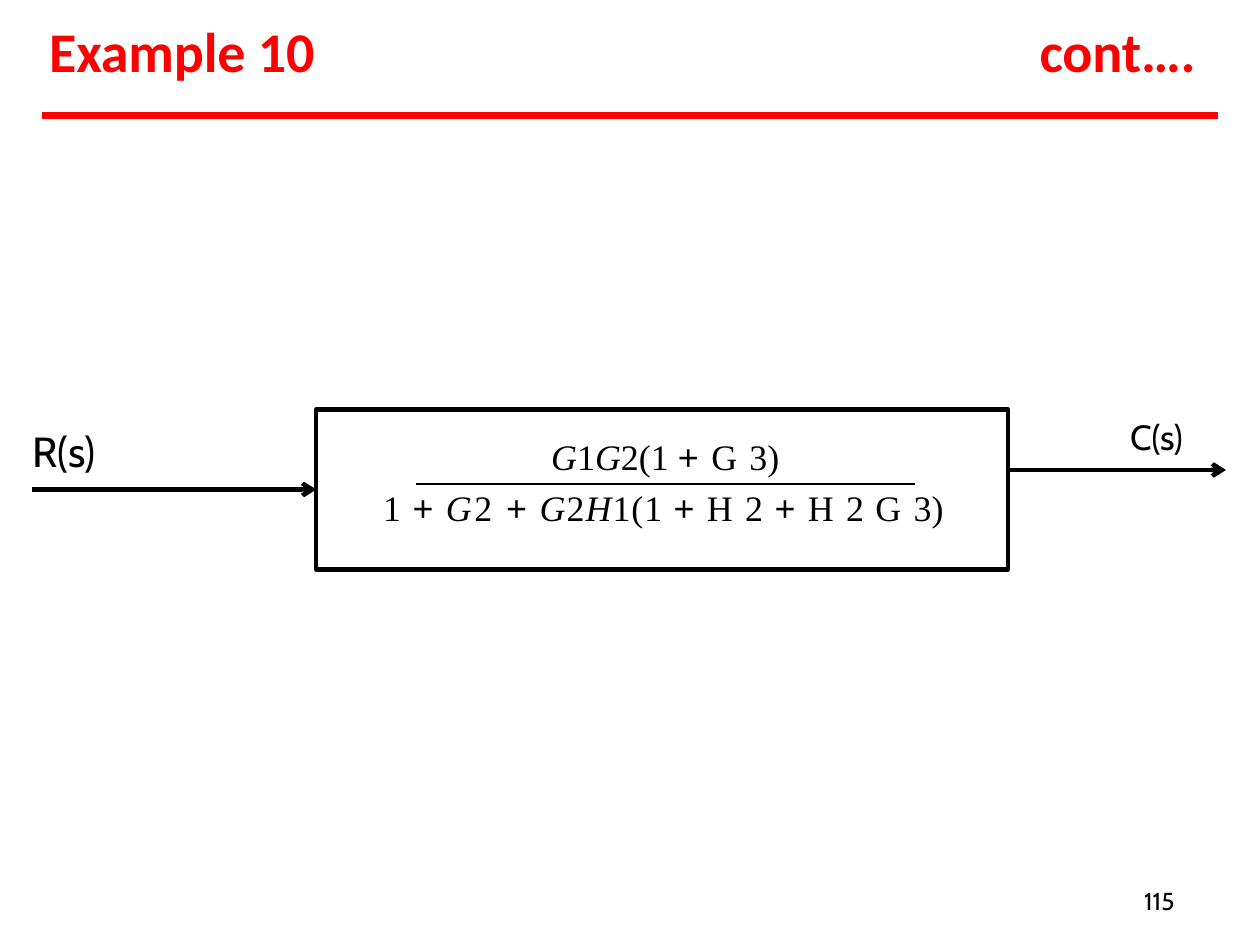
"""Build the slide showing the reduced block diagram of Example 10."""
import pptx
import pptx.dml.color
import pptx.enum.shapes
import pptx.enum.text
import pptx.oxml
import pptx.oxml.ns
import pptx.util

Inches = pptx.util.Inches
Pt = pptx.util.Pt
ALIGN = pptx.enum.text.PP_ALIGN

COLORS = {"accent": "FF0000", "ink": "000000"}
SLIDE_WIDTH, SLIDE_HEIGHT = 10, 7.5
HEADING_TOP, HEADING_HEIGHT = 0.12, 0.56
TITLE = ("Example 10", 0.38, 2.15)
CONTINUATION = ("cont….", 8.24, 1.28)
RULE_MARGIN, RULE_TOP = 0.33, 0.92

LABELS = [
    ("R(s)", (0.25, 3.37, 0.64, 0.43), 24, 0.01),
    ("C(s)", (8.96, 3.29, 0.53, 0.36), 20, 0.01),
    ("115", (9.05, 7.02, 0.38, 0.26), 14, 0.03),
]

BLOCK_LEFT, BLOCK_TOP, BLOCK_WIDTH, BLOCK_HEIGHT = 2.51, 3.25, 5.49, 1.27
INPUT_LEFT = 0.25
OUTPUT_RIGHT, OUTPUT_TOP = 9.73, 3.73
BAR_LEFT, BAR_RIGHT, BAR_TOP = 3.3, 7.26, 3.84

MATH_STYLES = {
    "variable": ("Times New Roman", True),
    "plain": ("Times New Roman", False),
    "operator": ("Arial", False),
}
NUMERATOR = [
    ("G", "variable", 0), ("1", "plain", 0), ("G", "variable", 0),
    ("2(1 ", "plain", 0), ("+ ", "operator", 0.7),
    ("G ", "plain", 0.9), ("3)", "plain", 0.1),
]
DENOMINATOR = [
    ("1 ", "plain", 0.7), ("+ ", "operator", 0.7), ("G", "variable", 1.4),
    ("2 ", "plain", 1.4), ("+ ", "operator", 0.7), ("G", "variable", 0.6),
    ("2", "plain", 0.6), ("H", "variable", 0.6), ("1(1 ", "plain", 0.6),
    ("+ ", "operator", 0.7), ("H ", "plain", 0.9), ("2 ", "plain", 0.7),
    ("+ ", "operator", 0.7), ("H ", "plain", 0.9), ("2 ", "plain", 0.7),
    ("G ", "plain", 0.9), ("3)", "plain", 0.1),
]
FRACTION = [(NUMERATOR, 0.05, 0), (DENOMINATOR, 0.02, 4.7)]


def rgb(name):
    return pptx.dml.color.RGBColor.from_string(COLORS[name])


def place(shape, left, top, width, height):
    shape.left, shape.top = Inches(left), Inches(top)
    shape.width, shape.height = Inches(width), Inches(height)


def format_run(run, font_name, size, color, spacing=0, bold=False, italic=False):
    font = run.font
    font.name, font.size = font_name, Pt(size)
    font.bold, font.italic = bold, italic
    font.color.rgb = rgb(color)
    run._r.get_or_add_rPr().set("spc", str(round(spacing * 100)))


def prepare_frame(shape, top_inset=0.01):
    frame = shape.text_frame
    frame.word_wrap = True
    frame.auto_size = pptx.enum.text.MSO_AUTO_SIZE.NONE
    frame.vertical_anchor = pptx.enum.text.MSO_ANCHOR.TOP
    frame.margin_left = frame.margin_right = frame.margin_bottom = 0
    frame.margin_top = Inches(top_inset)
    return frame


def indent(paragraph, distance):
    paragraph._p.get_or_add_pPr().set("marL", str(Inches(distance)))


def write_text(shape, text, font_name, size, color, left_indent=0.01, **style):
    frame = prepare_frame(shape)
    frame.text = text
    paragraph = frame.paragraphs[0]
    paragraph.alignment = ALIGN.LEFT
    indent(paragraph, left_indent)
    format_run(paragraph.runs[0], font_name, size, color, **style)


def add_line(slide, start, end, color, width, arrow=False):
    points = [Inches(value) for value in (*start, *end)]
    line = slide.shapes.add_connector(
        pptx.enum.shapes.MSO_CONNECTOR.STRAIGHT, *points)
    line.line.color.rgb = rgb(color)
    line.line.width = Pt(width)
    if arrow:
        head = pptx.oxml.parse_xml(
            f'<a:tailEnd {pptx.oxml.ns.nsdecls("a")} type="arrow"/>')
        line.line._get_or_add_ln().append(head)
    effects = pptx.oxml.parse_xml(f'<a:effectLst {pptx.oxml.ns.nsdecls("a")}/>')
    line._element.spPr.append(effects)
    return line


def add_heading(slide):
    text, left, width = TITLE
    heading = slide.shapes.title
    continuation = slide.shapes.add_textbox(0, 0, 0, 0)
    for shape, (text, left, width) in ((heading, TITLE), (continuation, CONTINUATION)):
        place(shape, left, HEADING_TOP, width, HEADING_HEIGHT)
        write_text(shape, text, "Calibri", 32, "accent", spacing=-0.1, bold=True)
    add_line(slide, (RULE_MARGIN, RULE_TOP),
             (SLIDE_WIDTH - RULE_MARGIN, RULE_TOP), "accent", 3.96)


def add_block(slide):
    block = slide.shapes.add_shape(pptx.enum.shapes.MSO_SHAPE.RECTANGLE, 0, 0, 0, 0)
    place(block, BLOCK_LEFT, BLOCK_TOP, BLOCK_WIDTH, BLOCK_HEIGHT)
    block.shadow.inherit = False
    block.fill.background()
    block.line.color.rgb = rgb("ink")
    block.line.width = Pt(2.52)
    frame = prepare_frame(block, 0.2)
    frame.add_paragraph()
    for paragraph, (tokens, left_indent, space) in zip(frame.paragraphs, FRACTION):
        paragraph.alignment = ALIGN.CENTER
        paragraph.space_before = Pt(space)
        indent(paragraph, left_indent)
        for text, style, spacing in tokens:
            font_name, italic = MATH_STYLES[style]
            run = paragraph.add_run()
            run.text = text
            format_run(run, font_name, 20.5, "ink", spacing, italic=italic)
    add_line(slide, (BAR_LEFT, BAR_TOP), (BAR_RIGHT, BAR_TOP), "ink", 1)
    return block


def add_signals(slide, block):
    middle = BLOCK_TOP + BLOCK_HEIGHT / 2
    signal = add_line(slide, (INPUT_LEFT, middle), (BLOCK_LEFT, middle),
                      "ink", 2.52, arrow=True)
    signal.end_connect(block, 1)
    add_line(slide, (BLOCK_LEFT + BLOCK_WIDTH, OUTPUT_TOP),
             (OUTPUT_RIGHT, OUTPUT_TOP), "ink", 2.52, arrow=True)
    for text, bounds, size, left_indent in LABELS:
        label = slide.shapes.add_textbox(0, 0, 0, 0)
        place(label, *bounds)
        write_text(label, text, "Cabin", size, "ink", left_indent)


def main():
    presentation = pptx.Presentation()
    presentation.slide_width = Inches(SLIDE_WIDTH)
    presentation.slide_height = Inches(SLIDE_HEIGHT)
    slide = presentation.slides.add_slide(presentation.slide_layouts[5])
    add_heading(slide)
    add_signals(slide, add_block(slide))
    presentation.save("out.pptx")


if __name__ == "__main__":
    main()
